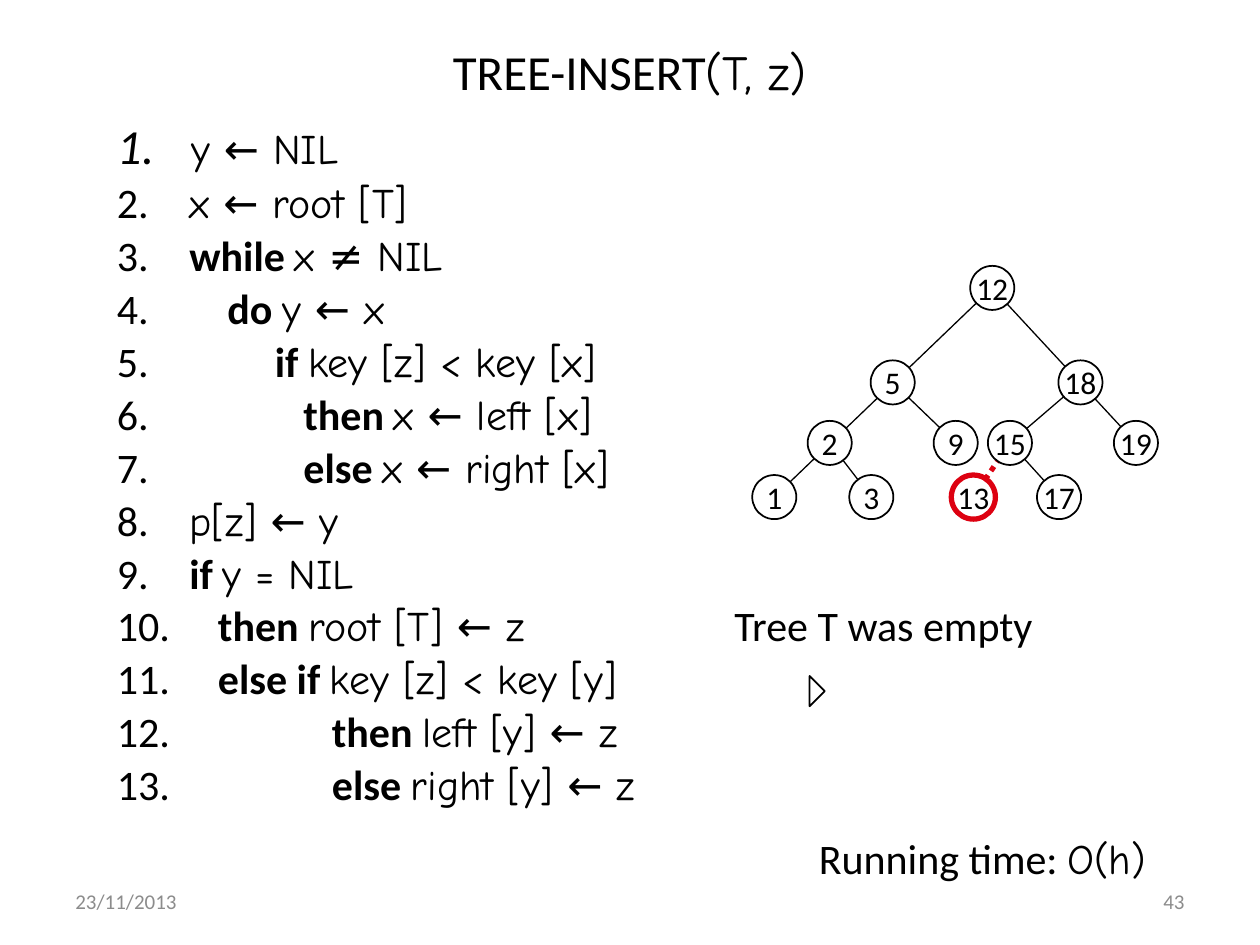
"""Build the TREE-INSERT slide with its pseudocode and example tree."""
from lxml.etree import SubElement
from pptx import Presentation
from pptx.dml.color import RGBColor
from pptx.enum.dml import MSO_LINE
from pptx.enum.shapes import MSO_CONNECTOR, MSO_SHAPE
from pptx.enum.text import MSO_ANCHOR, PP_ALIGN
from pptx.oxml.ns import qn
from pptx.util import Inches, Pt

BLACK = RGBColor(0x00, 0x00, 0x00)
WHITE = RGBColor(0xFF, 0xFF, 0xFF)
GREY = RGBColor(0x8C, 0x8C, 0x8C)
RED = RGBColor(0xDD, 0x01, 0x11)
SANS = "Calibri"
COMIC = "Comic Neue"
NODE_SIZE = 0.35
NEW_KEY = 13

CODE = [
    (1, "", "y ← NIL"),
    (1, "", "x ← root [T]"),
    (1, "while ", "x ≠ NIL"),
    (5, "do ", "y ← x"),
    (10, "if ", "key [z] < key [x]"),
    (13, "then ", "x ← left [x]"),
    (13, "else ", "x ← right [x]"),
    (1, "", "p[z] ← y"),
    (1, "if ", "y = NIL"),
    (4, "then ", "root [T] ← z"),
    (4, "else if ", "key [z] < key [y]"),
    (16, "then ", "left [y] ← z"),
    (16, "else ", "right [y] ← z"),
]
REMARKS = {10: "\tTree T was empty"}

NODES = {
    2: (6.41, 3.34), 1: (5.97, 3.77), 3: (6.74, 3.77), 5: (6.91, 2.86),
    9: (7.41, 3.34), 12: (7.7, 2.11), 18: (8.4, 2.86), 15: (7.84, 3.34),
    19: (8.84, 3.34), 17: (8.23, 3.77), 13: (7.55, 3.77),
}
EDGES = [(13, 15), (17, 15), (15, 18), (3, 2), (9, 5), (19, 12), (1, 12)]


def add_text(paragraph, text, size=24, font=SANS, color=BLACK, bold=False, italic=False):
    """Append one formatted run to the paragraph."""
    run = paragraph.add_run()
    run.text = text
    run.font.size = Pt(size)
    run.font.name = font
    run.font.color.rgb = color
    run.font.bold = bold
    run.font.italic = italic


class SlideBuilder:
    """Hold the style and the slide being drawn."""

    def __init__(self, slide):
        self.slide = slide
        self.tree = None

    def text_box(self, left, top, width, height, anchor=MSO_ANCHOR.TOP, wrap=True):
        """Add an empty text box and return its frame."""
        frame = self.slide.shapes.add_textbox(
            Inches(left), Inches(top), Inches(width), Inches(height)).text_frame
        frame.word_wrap = wrap
        frame.vertical_anchor = anchor
        return frame

    def label(self, place, runs, align=PP_ALIGN.LEFT, **box_format):
        """Add a single-line text made of (text, format) runs."""
        paragraph = self.text_box(*place, **box_format).paragraphs[0]
        paragraph.alignment = align
        for text, text_format in runs:
            add_text(paragraph, text, **text_format)

    def code(self, place, lines, remarks):
        """Add numbered lines of pseudocode, some with a remark at a tab."""
        frame = self.text_box(*place)
        for number, (spaces, keyword, expression) in enumerate(lines, 1):
            first = number == 1
            paragraph = frame.paragraphs[0] if first else frame.add_paragraph()
            paragraph.line_spacing = 0.9
            if not first:
                paragraph.space_before = Pt(4.3)
            properties = paragraph._p.get_or_add_pPr()
            properties.set("marL", str(Inches(0.5)))
            properties.set("indent", str(Inches(-0.5)))
            SubElement(properties, qn("a:buFont"), typeface="+mj-lt")
            SubElement(properties, qn("a:buAutoNum"), type="arabicPeriod")
            if number in remarks:
                tabs = SubElement(properties, qn("a:tabLst"))
                SubElement(tabs, qn("a:tab"), pos=str(Inches(4.9)), algn="l")
            add_text(paragraph, " " * spaces, size=28 if first else 24, italic=first)
            if keyword:
                add_text(paragraph, keyword, bold=True)
            add_text(paragraph, expression, font=COMIC)
            if number in remarks:
                add_text(paragraph, remarks[number])

    def comment_mark(self, left, top, size):
        """Add the hollow triangle that marks a comment."""
        mark = self.slide.shapes.add_shape(
            MSO_SHAPE.RIGHT_TRIANGLE, Inches(left), Inches(top), Inches(size), Inches(size))
        mark.rotation = 225
        mark.shadow.inherit = False
        mark.fill.background()
        mark.line.color.rgb = BLACK
        mark.line.width = Pt(1)

    def start_tree(self):
        """Open the group that holds the tree."""
        self.tree = self.slide.shapes.add_group_shape().shapes

    def edge(self, child, parent):
        """Join the centres of two nodes."""
        ends = [Inches(value + NODE_SIZE / 2) for key in (child, parent) for value in NODES[key]]
        edge = self.tree.add_connector(MSO_CONNECTOR.STRAIGHT, *ends)
        SubElement(edge._element.spPr, qn("a:effectLst"))
        is_new = child == NEW_KEY
        edge.line.color.rgb = RED if is_new else BLACK
        edge.line.width = Pt(3 if is_new else 0.75)
        if is_new:
            edge.line.dash_style = MSO_LINE.ROUND_DOT

    def node(self, key, left, top):
        """Add a round node showing its key."""
        node = self.tree.add_shape(
            MSO_SHAPE.OVAL, Inches(left), Inches(top), Inches(NODE_SIZE), Inches(NODE_SIZE))
        node.shadow.inherit = False
        node.fill.solid()
        node.fill.fore_color.rgb = WHITE
        node.line.color.rgb = RED if key == NEW_KEY else BLACK
        node.line.width = Pt(3 if key == NEW_KEY else 1)
        frame = node.text_frame
        frame.word_wrap = False
        frame.vertical_anchor = MSO_ANCHOR.MIDDLE
        frame.paragraphs[0].alignment = PP_ALIGN.CENTER
        add_text(frame.paragraphs[0], str(key), size=18)


def main():
    """Draw the slide and save it."""
    deck = Presentation()
    deck.slide_width, deck.slide_height = Inches(10), Inches(7.5)
    builder = SlideBuilder(deck.slides.add_slide(deck.slide_layouts[6]))

    footer = {"size": 12, "color": GREY}
    builder.label((0.5, 6.95, 2.33, 0.4), [("23/11/2013", footer)], anchor=MSO_ANCHOR.MIDDLE)
    builder.label((7.17, 6.95, 2.33, 0.4), [("43", footer)],
                  align=PP_ALIGN.RIGHT, anchor=MSO_ANCHOR.MIDDLE)
    builder.label((0.5, 0.25, 9, 0.62),
                  [("TREE-INSERT", {"size": 28}), ("(T, z)", {"size": 28, "font": COMIC})],
                  align=PP_ALIGN.CENTER, anchor=MSO_ANCHOR.MIDDLE)
    builder.code((0.83, 0.92, 8.52, 5.89), CODE, REMARKS)
    builder.comment_mark(6.34, 5.4, 0.17)

    builder.start_tree()
    for child, parent in EDGES:
        builder.edge(child, parent)
    for key, (left, top) in NODES.items():
        builder.node(key, left, top)

    builder.label((6.4, 6.56, 3.05, 0.5),
                  [("Running time: ", {}), ("O(h)", {"font": COMIC})], wrap=False)
    deck.save("out.pptx")


if __name__ == "__main__":
    main()
